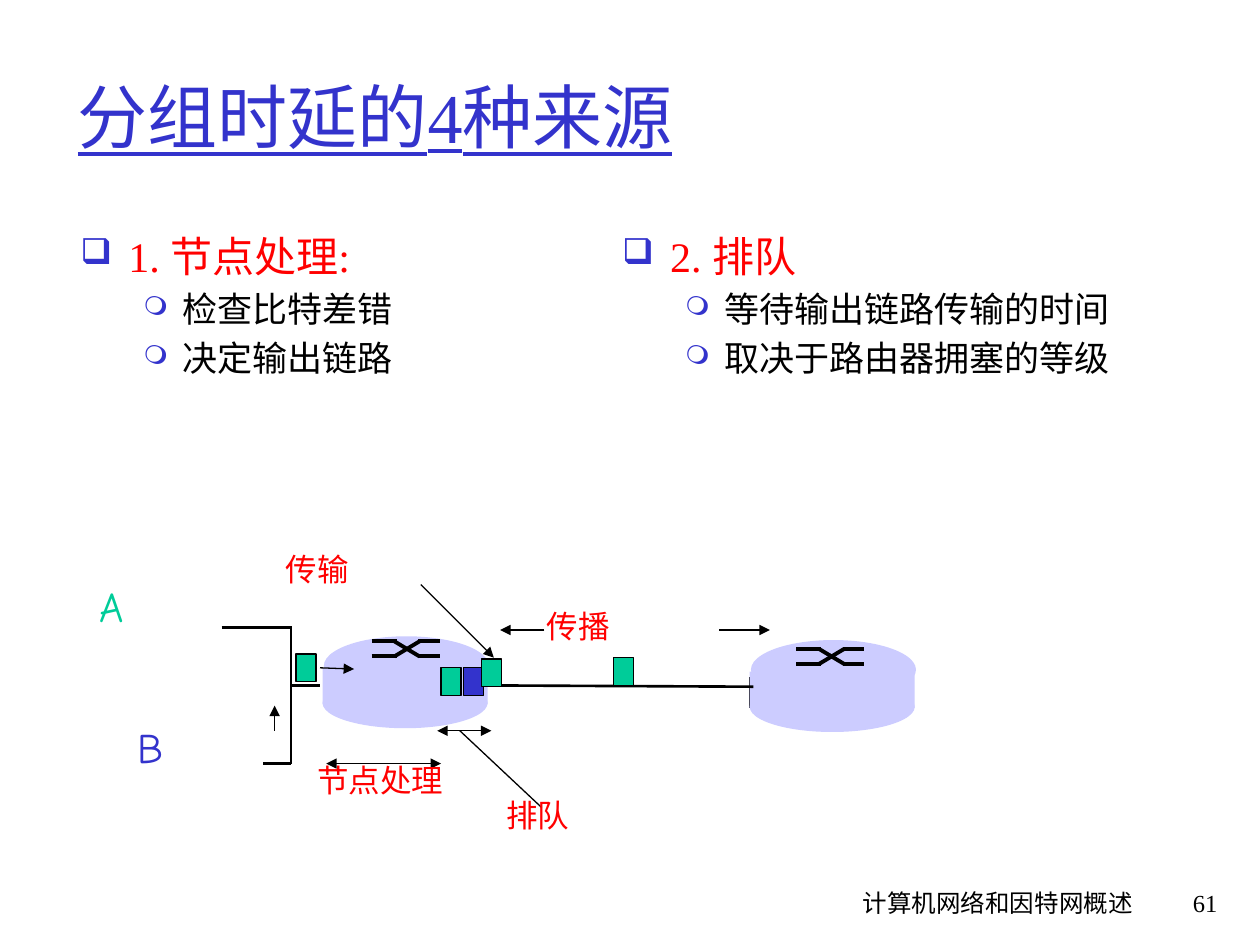
from dataclasses import dataclass

from lxml import etree
from pptx import Presentation
from pptx.dml.color import RGBColor
from pptx.enum import shapes, text
from pptx.oxml import ns
from pptx.util import Inches, Pt


@dataclass(frozen=True)
class Theme:
    blue: str = "3333CC"
    green: str = "00CC99"
    red: str = "FF0000"
    black: str = "000000"
    cloud: str = "CCCCFF"
    serif: str = "Times New Roman"
    comic: str = "Comic Neue"
    title: int = 40
    head: int = 24
    item: int = 20
    label: int = 18
    footer: int = 14


T = Theme()
ALIGN = text.PP_ALIGN

prs = Presentation()
prs.slide_width, prs.slide_height = Inches(10), Inches(7.5)
s = prs.slides.add_slide(prs.slide_layouts[6])


def add_text(box, rows, font, align=ALIGN.LEFT, wrap=True):
    tb = s.shapes.add_textbox(*map(Inches, box))
    tf = tb.text_frame
    tf.word_wrap = wrap
    if not wrap:
        tf.auto_size = text.MSO_AUTO_SIZE.SHAPE_TO_FIT_TEXT
    for i, (words, size, color, bullet) in enumerate(rows):
        p = tf.paragraphs[0] if i == 0 else tf.add_paragraph()
        p.alignment = align
        if i:
            p.space_before = Pt(size * 0.2)
        if bullet:
            char, scale, left, hang = bullet
            pPr = p._p.get_or_add_pPr()
            pPr.set("marL", str(Inches(left)))
            pPr.set("indent", str(-Inches(hang)))
            clr = etree.SubElement(pPr, ns.qn("a:buClr"))
            etree.SubElement(clr, ns.qn("a:srgbClr"), val=T.blue)
            etree.SubElement(pPr, ns.qn("a:buSzPct"), val=str(scale * 1000))
            etree.SubElement(pPr, ns.qn("a:buChar"), char=char)
        r = p.add_run()
        r.text = words
        r.font.size = Pt(size)
        r.font.name = font
        r.font.color.rgb = RGBColor.from_string(color)
    return tf


def add_line(x1, y1, x2, y2, width, ends=()):
    c = s.shapes.add_connector(shapes.MSO_CONNECTOR.STRAIGHT, *map(Inches, (x1, y1, x2, y2)))
    c.line.color.rgb = RGBColor.from_string(T.black)
    c.line.width = Pt(width)
    ln = c.line._get_or_add_ln()
    for end in ends:
        etree.SubElement(ln, ns.qn(f"a:{end}"), type="triangle")
    etree.SubElement(c._element.spPr, ns.qn("a:effectLst"))


add_text((5.92, 7, 3.17, 0.5), [("计算机网络和因特网概述", T.footer, T.black, None)], T.comic, ALIGN.RIGHT)
add_text((9.08, 7, 0.68, 0.5), [("61", T.footer, T.black, None)], T.serif, ALIGN.RIGHT)

tf = add_text((0.52, 0.29, 8.5, 1.25), [("分组时延的4种来源", T.title, T.blue, None)], T.serif)
tf.vertical_anchor = text.MSO_ANCHOR.MIDDLE
tf.paragraphs[0].runs[0].font.underline = True

columns = [
    (0.54, "1. 节点处理:", ("检查比特差错", "决定输出链路")),
    (4.84, "2. 排队", ("等待输出链路传输的时间", "取决于路由器拥塞的等级")),
]
for x, heading, items in columns:
    rows = [(heading, T.head, T.red, ("❑", 85, 0.38, 0.38))]
    rows += [(item, T.item, T.black, ("❍", 75, 0.81, 0.31)) for item in items]
    add_text((x, 1.78, 4.17, 1.47), rows, T.serif)

add_line(5.95, 5.37, 5.95, 5.62, 1)
OVAL, RECT = shapes.MSO_SHAPE.OVAL, shapes.MSO_SHAPE.RECTANGLE
router_parts = [(OVAL, 0, 0.33, 0.4), (RECT, 0, 0.25, 0.29), (OVAL, 0.01, 0, 0.47)]
for x, y in ((2.56, 5.05), (5.95, 5.08)):
    for kind, dx, dy, height in router_parts:
        sp = s.shapes.add_shape(kind, Inches(x + dx), Inches(y + dy), Inches(1.31), Inches(height))
        sp.shadow.inherit = False
        sp.fill.solid()
        sp.fill.fore_color.rgb = RGBColor.from_string(T.cloud)
        sp.line.fill.background()

for x, y in ((2.95, 5.09), (6.32, 5.15)):
    for near, far in ((0, 0.12), (0.12, 0)):
        add_line(x, y + near, x + 0.2, y + near, 2.25)
        add_line(x + 0.18, y + near, x + 0.38, y + far, 2.25)
        add_line(x + 0.37, y + far, x + 0.54, y + far, 2.25)

links = [
    (1.76, 4.98, 2.31, 4.98),
    (2.09, 6.06, 2.31, 6.06),
    (3.86, 5.44, 5.98, 5.45),
    (2.31, 4.97, 2.31, 6.06),
    (2.32, 5.44, 2.54, 5.44),
]
for link in links:
    add_line(*link, 1.5)

packets = [
    (4.87, 5.22, T.green),
    (3.5, 5.3, T.green),
    (3.68, 5.3, T.blue),
    (2.35, 5.19, T.green),
    (3.82, 5.23, T.green),
]
for x, y, color in packets:
    sp = s.shapes.add_shape(RECT, Inches(x), Inches(y), Inches(0.16), Inches(0.22))
    sp.shadow.inherit = False
    sp.fill.solid()
    sp.fill.fore_color.rgb = RGBColor.from_string(color)
    sp.line.color.rgb = RGBColor.from_string(T.black)
    sp.line.width = Pt(0.75)

one_way, two_way = ("tailEnd",), ("headEnd", "tailEnd")
arrows = [
    (2.54, 5.3, 2.81, 5.31, one_way),
    (2.18, 5.8, 2.18, 5.6, one_way),
    (5.71, 5, 6.11, 5, one_way),
    (4.32, 5, 3.97, 5, one_way),
    (3.34, 4.64, 3.92, 5.22, one_way),
    (3.5, 6.06, 2.59, 6.06, two_way),
    (3.9, 5.8, 3.47, 5.8, two_way),
    (4.3, 6.41, 3.65, 5.8, ()),
]
for x1, y1, x2, y2, ends in arrows:
    add_line(x1, y1, x2, y2, 0.75, ends)

labels = [
    ("A", 0.69, 4.56, 0.44, 0.5, T.head, T.green),
    ("B", 0.99, 5.68, 0.41, 0.5, T.head, T.blue),
    ("传播", 4.24, 4.77, 0.7, 0.4, T.label, T.red),
    ("传输", 2.17, 4.32, 0.7, 0.4, T.label, T.red),
    ("节点处理", 2.42, 5.99, 1.2, 0.4, T.label, T.red),
    ("排队", 3.92, 6.27, 0.7, 0.4, T.label, T.red),
]
for words, x, y, width, height, size, color in labels:
    add_text((x, y, width, height), [(words, size, color, None)], T.comic, wrap=False)

prs.save("out.pptx")
